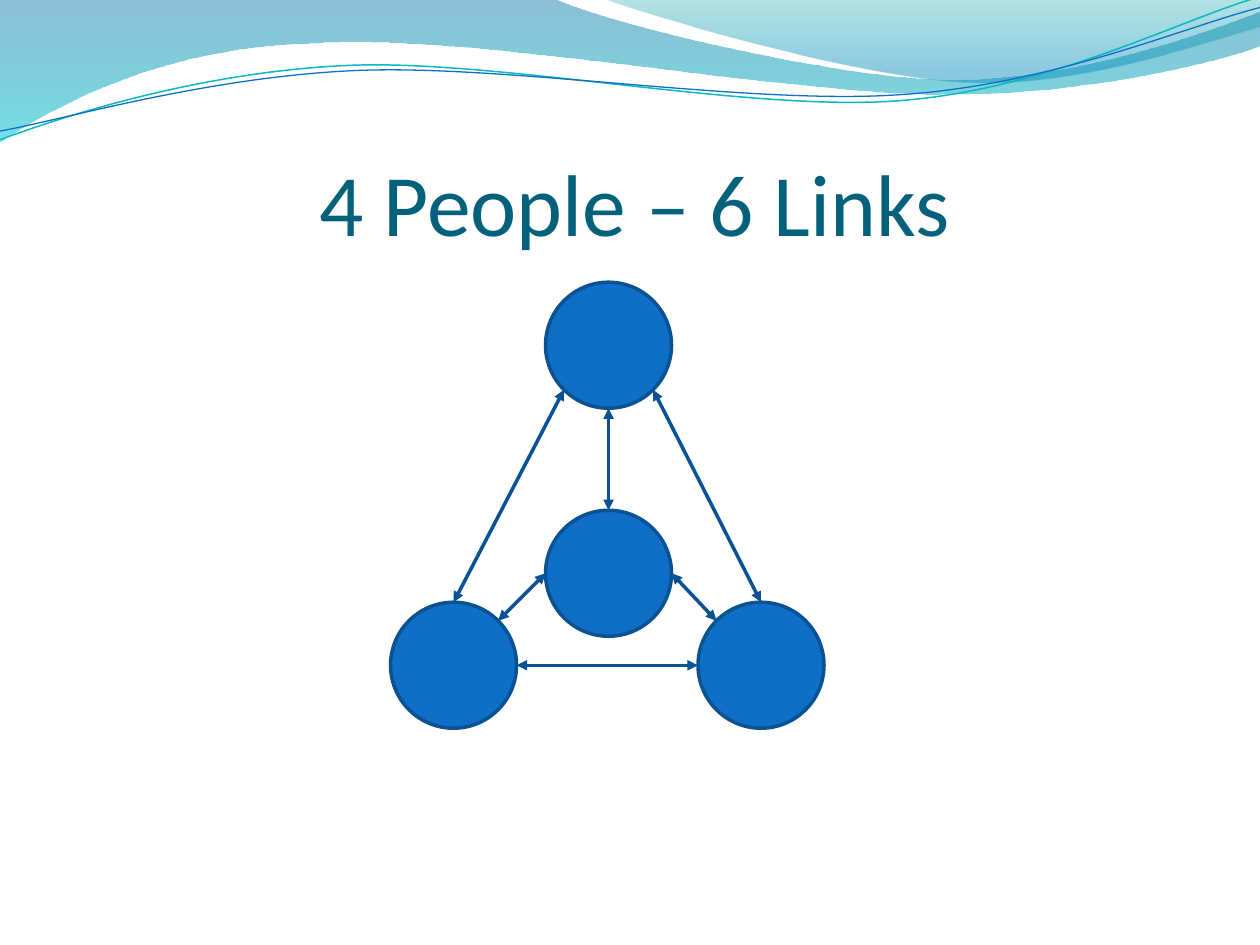
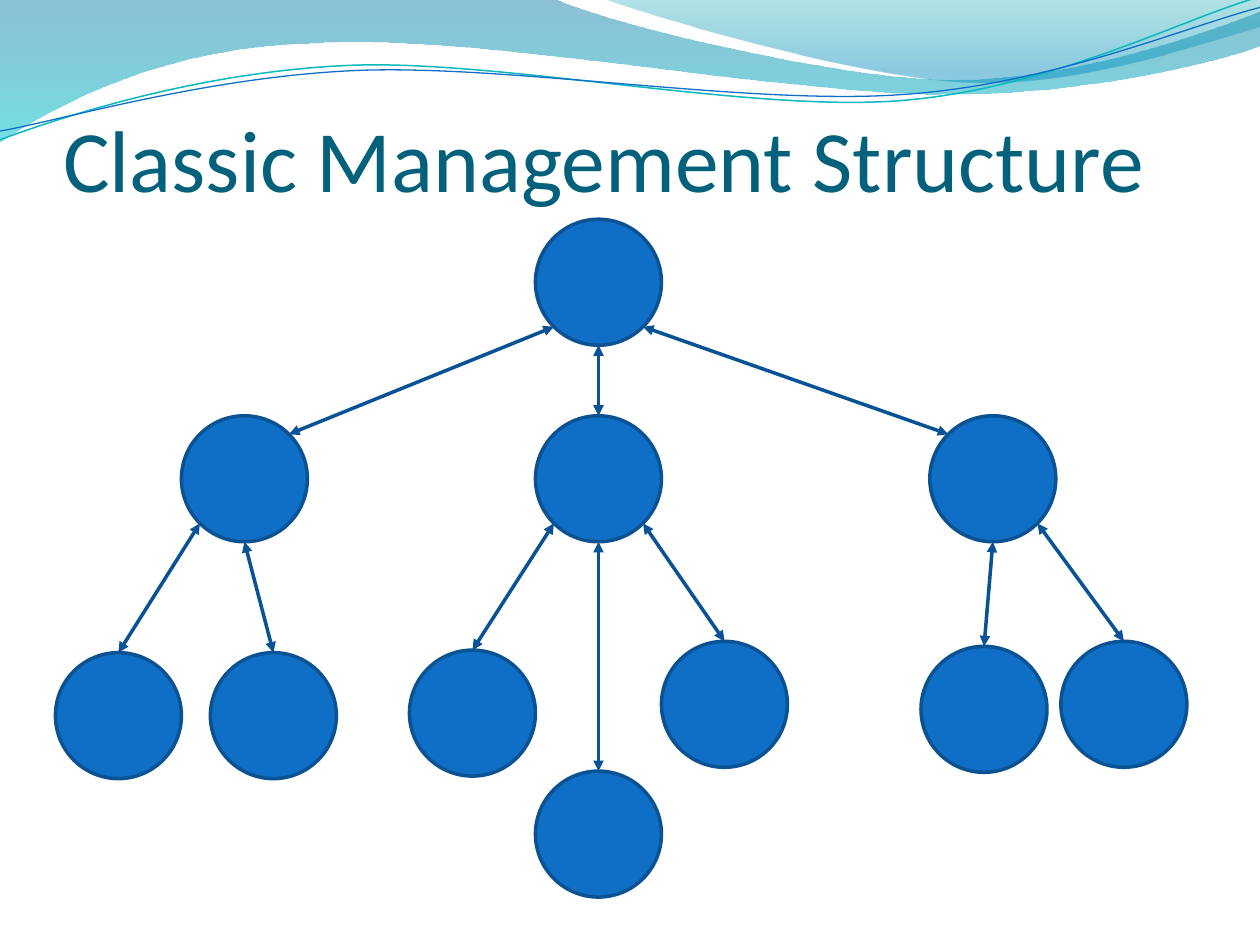
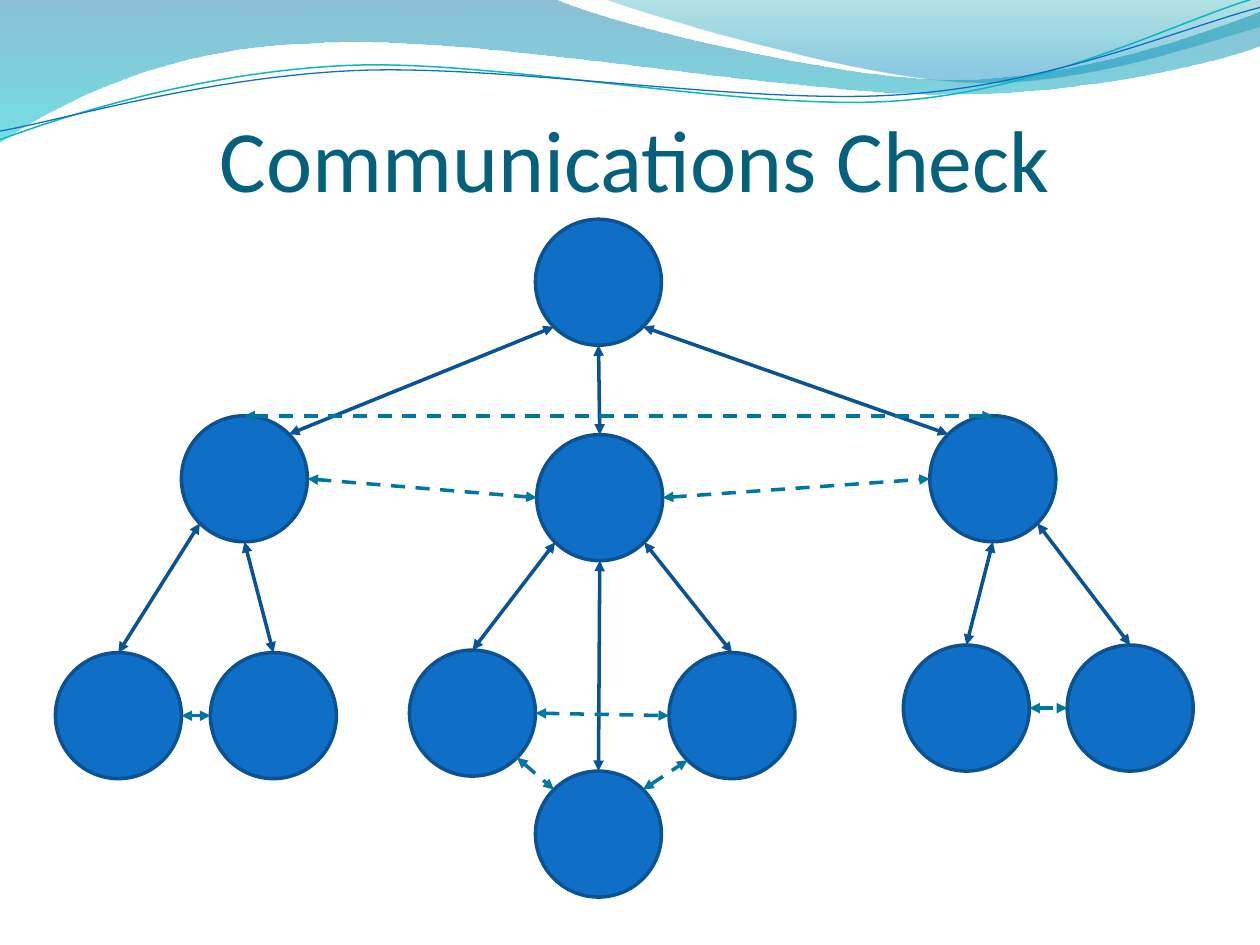
import math

from lxml import etree
from pptx import Presentation
from pptx.dml.color import RGBColor
from pptx.enum.dml import MSO_LINE
from pptx.enum.shapes import MSO_CONNECTOR, MSO_SHAPE
from pptx.enum.text import MSO_ANCHOR, MSO_AUTO_SIZE, PP_ALIGN
from pptx.oxml.ns import qn
from pptx.util import Pt

LEFT, CENTER = PP_ALIGN.LEFT, PP_ALIGN.CENTER
BOTTOM = MSO_ANCHOR.BOTTOM
NO_AUTOFIT = MSO_AUTO_SIZE.NONE
OVAL = MSO_SHAPE.OVAL
STRAIGHT = MSO_CONNECTOR.STRAIGHT
DASH = MSO_LINE.DASH

WIDTH, HEIGHT = 720, 540
FONT = "Calibri"
TITLE_COLOR = "04617B"
CIRCLE_FILL, CIRCLE_LINE = "0F6FC6", "0B5292"
LINK_COLOR, CROSS_LINK_COLOR = "095295", "0076A3"
DIAMETER = 72
LINE_WIDTH = 2
TITLE_LEFT, TITLE_TOP, TITLE_WIDTH = 36, 55.44, 653.76
WAVE_TILT = 2.7
WAVE_PIVOT = (WIDTH / 2, 42)

# Each outline is a start point, then segments: one point is a straight line,
# three points are a Bezier curve (two controls and an end).
BANDS = [
    {"start": (0, 0), "segments": [
        [(316.8, -0.7)],
        [(342.7, 12.2), (478.1, 45.4), (545.8, 45.4)],
        [(614.2, 45.4), (689.8, 18.7), (720, 6.5)],
        [(720.7, 25.9)],
        [(707.8, 31.7), (626.4, 54.7), (537.1, 54)],
        [(447.8, 54), (275, 20.2), (185, 24.5)],
        [(92.9, 25.9), (33.1, 59.8), (-0.7, 81.4)],
        [(0, 0)]],
     "stops": [(0, "0074A1", 45), (1, "00C6CF", 55)]},
    {"start": (344.9, -0.7), "segments": [
        [(366.5, 7.9), (491, 44.6), (553.7, 46.8)],
        [(616.3, 49.7), (691.9, 23), (720, 15.1)],
        [(720, 0)],
        [(344.9, -0.7)]],
     "stops": [(0, "00A1A9", 30), (0.8, "008BBF", 45)]},
]
WAVES = [
    {"start": (0, 79.9), "segments": [
        [(34.6, 67), (113.8, 41), (199.4, 37.4)],
        [(284.4, 33.8), (427, 64.1), (513.4, 57.6)],
        [(599.8, 51.1), (675.4, 10.8), (718.6, -1.4)]],
     "color": "0AB8BF", "width": 0.85},
    {"start": (0, 74.9), "segments": [
        [(33.8, 69.1), (118.1, 43.9), (203.8, 40.3)],
        [(290.2, 36.7), (429.8, 60.5), (516.2, 54)],
        [(601.9, 48.2), (677.5, 15.1), (720, 4.3)]],
     "color": "0F6FC6", "width": 0.75},
]

# Circle centres by role, and links as (circle, side, circle, side).
TEAM = {"hub": (347.76, 327.6), "left": (259.2, 380.16),
        "right": (434.88, 380.16), "top": (347.76, 197.28)}
TEAM_LINKS = [
    ("left", "N", "top", "SW"), ("top", "S", "hub", "N"),
    ("left", "NE", "hub", "W"), ("right", "NW", "hub", "E"),
    ("right", "N", "top", "SE"), ("right", "W", "left", "E"),
]
MANAGEMENT = {
    "middle 2": (342, 476.64),
    "left 1": (67.68, 408.96), "left 2": (156.24, 408.96),
    "middle 1": (270, 407.52), "left": (139.68, 273.6),
    "right 1": (562.32, 405.36), "middle 3": (414, 402.48),
    "head": (342, 161.28), "right": (567.36, 273.6),
    "right 2": (642.24, 402.48), "middle": (342, 273.6),
}
MANAGEMENT_LINKS = [
    ("head", "S", "middle", "N"), ("head", "SW", "left", "NE"),
    ("head", "SE", "right", "NW"),
    ("left", "SW", "left 1", "N"), ("left", "S", "left 2", "N"),
    ("middle", "SW", "middle 1", "N"), ("middle", "S", "middle 2", "N"),
    ("middle", "SE", "middle 3", "N"),
    ("right", "S", "right 1", "N"), ("right", "SE", "right 2", "N"),
]
COMMUNICATIONS = {
    **MANAGEMENT, "middle": (342.72, 284.4), "middle 3": (418.32, 408.96),
    "right 1": (552.24, 404.64), "right 2": (645.84, 404.64),
}
CROSS_LINKS = [
    ("left", "E", "middle", "W"), ("left", "N", "right", "N"),
    ("middle", "E", "right", "W"), ("left 1", "E", "left 2", "W"),
    ("middle 1", "SE", "middle 2", "NW"), ("middle 2", "NE", "middle 3", "SW"),
    ("middle 1", "E", "middle 3", "W"), ("right 1", "E", "right 2", "W"),
]
SLIDES = [
    {"title": "4 People – 6 Links", "title_height": 90, "align": CENTER,
     "circles": TEAM, "links": TEAM_LINKS, "cross_links": []},
    {"title": "Classic Management Structure", "title_height": 64.8, "align": LEFT,
     "circles": MANAGEMENT, "links": MANAGEMENT_LINKS, "cross_links": []},
    {"title": "Communications Check", "title_height": 64.8, "align": CENTER,
     "circles": COMMUNICATIONS, "links": MANAGEMENT_LINKS,
     "cross_links": CROSS_LINKS},
]
SIDE_ANGLES = {side: math.radians(45 * step) for step, side in
               enumerate(["E", "SE", "S", "SW", "W", "NW", "N", "NE"])}


def color(hex_text):
    """Turn a hex string into a colour."""
    return RGBColor.from_string(hex_text)


def set_line(line, hex_text, width):
    """Give a line its colour and width."""
    line.color.rgb = color(hex_text)
    line.width = Pt(width)


def write_text(shape, text, *, size, hex_text, align):
    """Put one formatted paragraph into a shape."""
    paragraph = shape.text_frame.paragraphs[0]
    paragraph.alignment = align
    run = paragraph.add_run()
    run.text = text
    run.font.name, run.font.size = FONT, Pt(size)
    run.font.color.rgb = color(hex_text)


def turn(point, degrees):
    """Turn a point clockwise about the middle of the waves."""
    angle = math.radians(degrees)
    x, y = point[0] - WAVE_PIVOT[0], point[1] - WAVE_PIVOT[1]
    return (WAVE_PIVOT[0] + x * math.cos(angle) - y * math.sin(angle),
            WAVE_PIVOT[1] + x * math.sin(angle) + y * math.cos(angle))


def add_outline(slide, outline, *, close, tilt=0):
    """Draw a freeform of straight lines and Bezier curves."""
    segments = outline["segments"]
    points = [outline["start"]] + [point for segment in segments for point in segment]
    corners = [(Pt(x), Pt(y)) for x, y in (turn(point, tilt) for point in points)]
    builder = slide.shapes.build_freeform(*corners[0])
    builder.add_line_segments(corners[1:], close=close)
    shape = builder.convert_to_shape()
    shape.shadow.inherit = False
    steps = iter(list(shape.element.spPr.iter(qn("a:lnTo"))))
    for segment in segments:
        first, *others = [next(steps) for _ in segment]
        if others:
            first.tag = qn("a:cubicBezTo")
            for step in others:
                first.append(step[0])
                step.getparent().remove(step)
    return shape


def add_band(slide, band):
    """Draw a band with a see-through gradient running downwards."""
    shape = add_outline(slide, band, close=True)
    shape.line.fill.background()
    shape.fill.gradient()
    shape.fill.gradient_angle = 270
    for stop, (position, hex_text, _) in zip(shape.fill.gradient_stops, band["stops"]):
        stop.position = position
        stop.color.rgb = color(hex_text)
    stop_colors = shape.element.spPr.iter(qn("a:srgbClr"))
    for element, (_, _, opacity) in zip(stop_colors, band["stops"]):
        etree.SubElement(element, qn("a:alpha"), val=str(opacity * 1000))
    return shape


def add_wave(slide, wave):
    """Draw a thin tilted wave line."""
    shape = add_outline(slide, wave, close=False, tilt=WAVE_TILT)
    shape.rotation = 360 - WAVE_TILT
    shape.fill.background()
    set_line(shape.line, wave["color"], wave["width"])
    return shape


def decorate_layout(layout, slide):
    """Draw the bands and waves, then move them to the back of the layout."""
    shapes = [add_band(slide, band) for band in BANDS]
    waves = [add_wave(slide, wave) for wave in WAVES]
    shapes.append(slide.shapes.add_group_shape(waves))
    for index, shape in enumerate(shapes, start=2):
        layout.shapes.element.insert(index, shape.element)


def add_title(slide, content):
    """Place and format the title placeholder."""
    title = slide.shapes.title
    title.left, title.top = Pt(TITLE_LEFT), Pt(TITLE_TOP)
    title.width, title.height = Pt(TITLE_WIDTH), Pt(content["title_height"])
    frame = title.text_frame
    frame.word_wrap, frame.auto_size = True, NO_AUTOFIT
    frame.vertical_anchor = BOTTOM
    frame.margin_left = frame.margin_right = frame.margin_bottom = Pt(0)
    frame.margin_top = Pt(3.6)
    write_text(title, content["title"], size=50, hex_text=TITLE_COLOR,
               align=content["align"])


def add_circle(slide, center):
    """Draw one person as a circle about its centre."""
    left, top = (value - DIAMETER / 2 for value in center)
    shape = slide.shapes.add_shape(OVAL, Pt(left), Pt(top), Pt(DIAMETER), Pt(DIAMETER))
    shape.shadow.inherit = False
    shape.fill.solid()
    shape.fill.fore_color.rgb = color(CIRCLE_FILL)
    set_line(shape.line, CIRCLE_LINE, LINE_WIDTH)


def rim_point(center, side):
    """Return the point of a circle's rim on the given side."""
    angle = SIDE_ANGLES[side]
    return (Pt(center[0] + DIAMETER / 2 * math.cos(angle)),
            Pt(center[1] + DIAMETER / 2 * math.sin(angle)))


def add_link(slide, circles, link, hex_text, dash=None):
    """Join two circles with a two-headed arrow."""
    first, first_side, second, second_side = link
    connector = slide.shapes.add_connector(
        STRAIGHT, *rim_point(circles[first], first_side),
        *rim_point(circles[second], second_side))
    set_line(connector.line, hex_text, LINE_WIDTH)
    if dash:
        connector.line.dash_style = dash
    properties = connector.element.spPr
    for end in ("a:headEnd", "a:tailEnd"):
        etree.SubElement(properties.find(qn("a:ln")), qn(end), type="triangle")
    etree.SubElement(properties, qn("a:effectLst"))


def build():
    """Build and save the presentation."""
    presentation = Presentation()
    presentation.slide_width, presentation.slide_height = Pt(WIDTH), Pt(HEIGHT)
    layout = presentation.slide_layouts[5]
    for number, content in enumerate(SLIDES):
        slide = presentation.slides.add_slide(layout)
        if number == 0:
            decorate_layout(layout, slide)
        add_title(slide, content)
        circles = content["circles"]
        for center in circles.values():
            add_circle(slide, center)
        for link in content["links"]:
            add_link(slide, circles, link, LINK_COLOR)
        for link in content["cross_links"]:
            add_link(slide, circles, link, CROSS_LINK_COLOR, DASH)
    presentation.save("out.pptx")


build()
